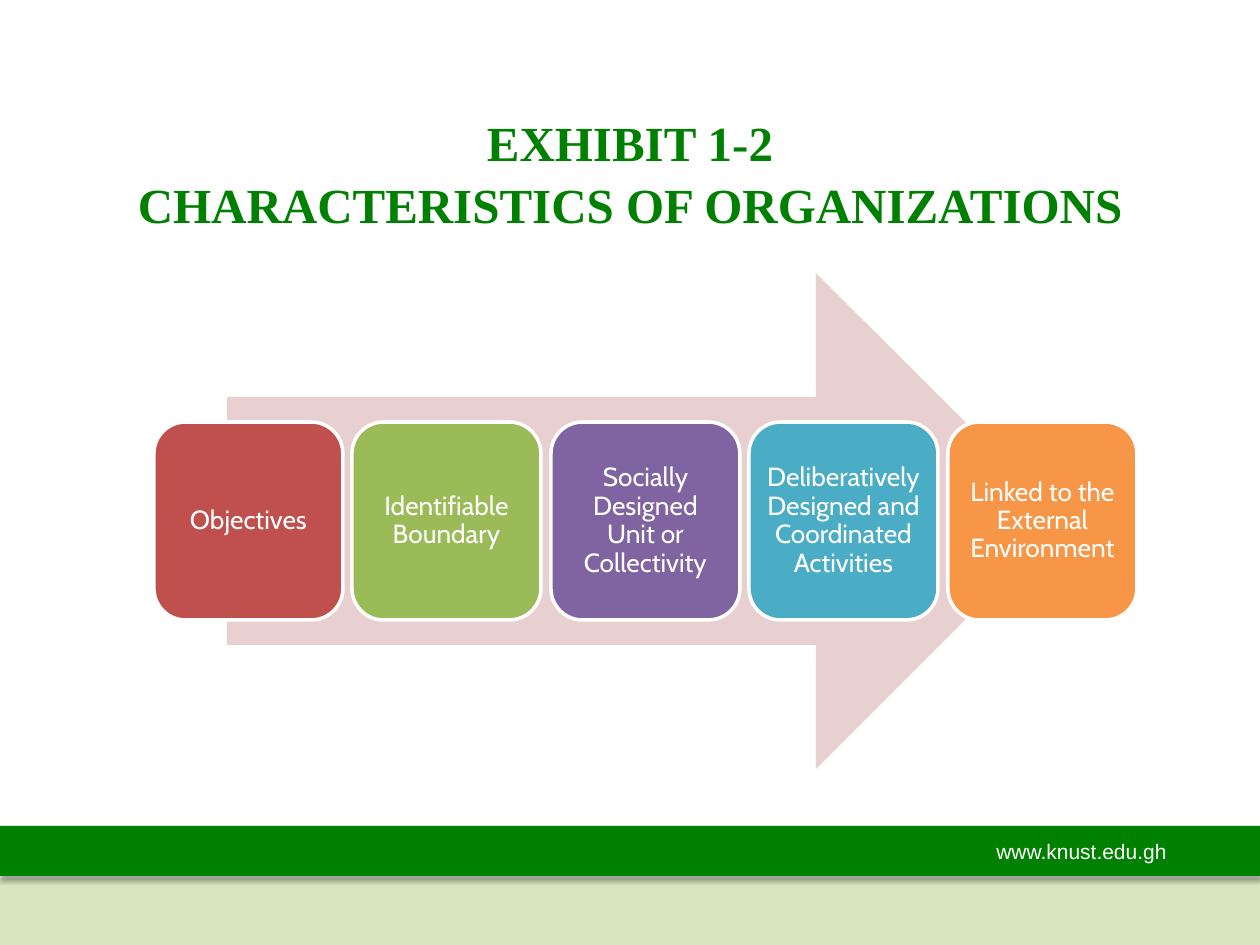
from dataclasses import dataclass

import pptx
import pptx.dml.color
import pptx.enum.shapes
import pptx.enum.text
import pptx.oxml
import pptx.oxml.ns
import pptx.util

RGBColor = pptx.dml.color.RGBColor
MSO_SHAPE = pptx.enum.shapes.MSO_SHAPE
PP_ALIGN = pptx.enum.text.PP_ALIGN
MSO_ANCHOR = pptx.enum.text.MSO_ANCHOR

PX_PER_INCH = 126
WHITE = RGBColor(0xFF, 0xFF, 0xFF)
GREEN = RGBColor(0x00, 0x80, 0x00)
PALE_GREEN = RGBColor(0xD7, 0xE4, 0xBD)
PALE_RED = RGBColor(0xE8, 0xD0, 0xD0)
RED = RGBColor(0xC0, 0x50, 0x4D)
LIME = RGBColor(0x9B, 0xBB, 0x59)
PURPLE = RGBColor(0x80, 0x64, 0xA2)
TEAL = RGBColor(0x4B, 0xAC, 0xC6)
ORANGE = RGBColor(0xF7, 0x96, 0x46)


@dataclass(frozen=True)
class Box:
    left: int
    top: int
    width: int
    height: int

    def emu(self) -> list[int]:
        return [px(v) for v in (self.left, self.top, self.width, self.height)]


@dataclass(frozen=True)
class Characteristic:
    label: str
    color: RGBColor


CHARACTERISTICS = (
    Characteristic("Objectives", RED),
    Characteristic("Identifiable Boundary", LIME),
    Characteristic("Socially Designed Unit or Collectivity", PURPLE),
    Characteristic("Deliberatively Designed and Coordinated Activities", TEAL),
    Characteristic("Linked to the External Environment", ORANGE),
)
FIRST_CARD = Box(154, 422, 189, 198)
CARD_SPAN = 794  # from the left of the first card to the left of the last


def px(value: int) -> int:
    return round(value * pptx.util.Inches(1) / PX_PER_INCH)


def set_text(sp, text: str, font: str, size: int, color: RGBColor,
             align=PP_ALIGN.LEFT, bold: bool = False) -> None:
    """Fill the first paragraph; a vertical tab in the text is a line break."""
    p = sp.text_frame.paragraphs[0]
    p.text = text
    p.alignment = align
    for r in p.runs:
        r.font.name = font
        r.font.size = pptx.util.Pt(size)
        r.font.bold = bold
        r.font.color.rgb = color


def add_filled(slide, kind, box: Box, color: RGBColor):
    sp = slide.shapes.add_shape(kind, *box.emu())
    sp.shadow.inherit = False
    sp.fill.solid()
    sp.fill.fore_color.rgb = color
    sp.line.fill.background()
    return sp


def add_band(slide, box: Box, color: RGBColor) -> None:
    """Full-width footer band with a soft shadow below it."""
    sp = add_filled(slide, MSO_SHAPE.RECTANGLE, box, color)
    effects = sp._element.spPr.find(pptx.oxml.ns.qn("a:effectLst"))
    effects.append(pptx.oxml.parse_xml(
        f'<a:outerShdw {pptx.oxml.ns.nsdecls("a")} blurRad="39370" dist="22860" '
        'dir="5400000" rotWithShape="0"><a:srgbClr val="000000">'
        '<a:alpha val="35000"/></a:srgbClr></a:outerShdw>'))


def add_footer(slide) -> None:
    add_band(slide, Box(0, 878, 1260, 67), PALE_GREEN)
    add_band(slide, Box(0, 826, 1260, 50), GREEN)
    address = slide.shapes.add_textbox(*Box(984, 832, 213, 38).emu())
    address.text_frame.word_wrap = True
    set_text(address, "www.knust.edu.gh", "Arial", 12, WHITE)


def format_title(slide) -> None:
    title = slide.shapes.title
    title.left, title.top, title.width, title.height = Box(50 + 37, 50, 1086, 183).emu()
    tf = title.text_frame
    tf.vertical_anchor = MSO_ANCHOR.BOTTOM
    tf.margin_bottom = 0
    set_text(title, "EXHIBIT 1-2\vCHARACTERISTICS OF ORGANIZATIONS",
             "Times New Roman", 28, GREEN, PP_ALIGN.CENTER, bold=True)
    tf.paragraphs[0].line_spacing = 1.05


def add_card(slide, box: Box, item: Characteristic) -> None:
    sp = add_filled(slide, MSO_SHAPE.ROUNDED_RECTANGLE, box, item.color)
    sp.line.color.rgb = WHITE
    sp.line.width = pptx.util.Pt(2)
    tf = sp.text_frame
    tf.word_wrap = True
    tf.vertical_anchor = MSO_ANCHOR.MIDDLE
    tf.margin_left = tf.margin_right = tf.margin_top = tf.margin_bottom = px(7)
    set_text(sp, item.label, "Cabin", 15, WHITE, PP_ALIGN.CENTER)
    tf.paragraphs[0].line_spacing = 0.9


def main() -> None:
    prs = pptx.Presentation()
    prs.slide_width, prs.slide_height = px(1260), px(945)
    slide = prs.slides.add_slide(prs.slide_layouts[5])

    add_footer(slide)
    format_title(slide)
    add_filled(slide, MSO_SHAPE.RIGHT_ARROW, Box(227, 273, 837, 496), PALE_RED)
    for i, item in enumerate(CHARACTERISTICS):
        left = FIRST_CARD.left + i * CARD_SPAN // (len(CHARACTERISTICS) - 1)
        add_card(slide, Box(left, FIRST_CARD.top, FIRST_CARD.width, FIRST_CARD.height), item)

    prs.save("out.pptx")


if __name__ == "__main__":
    main()
